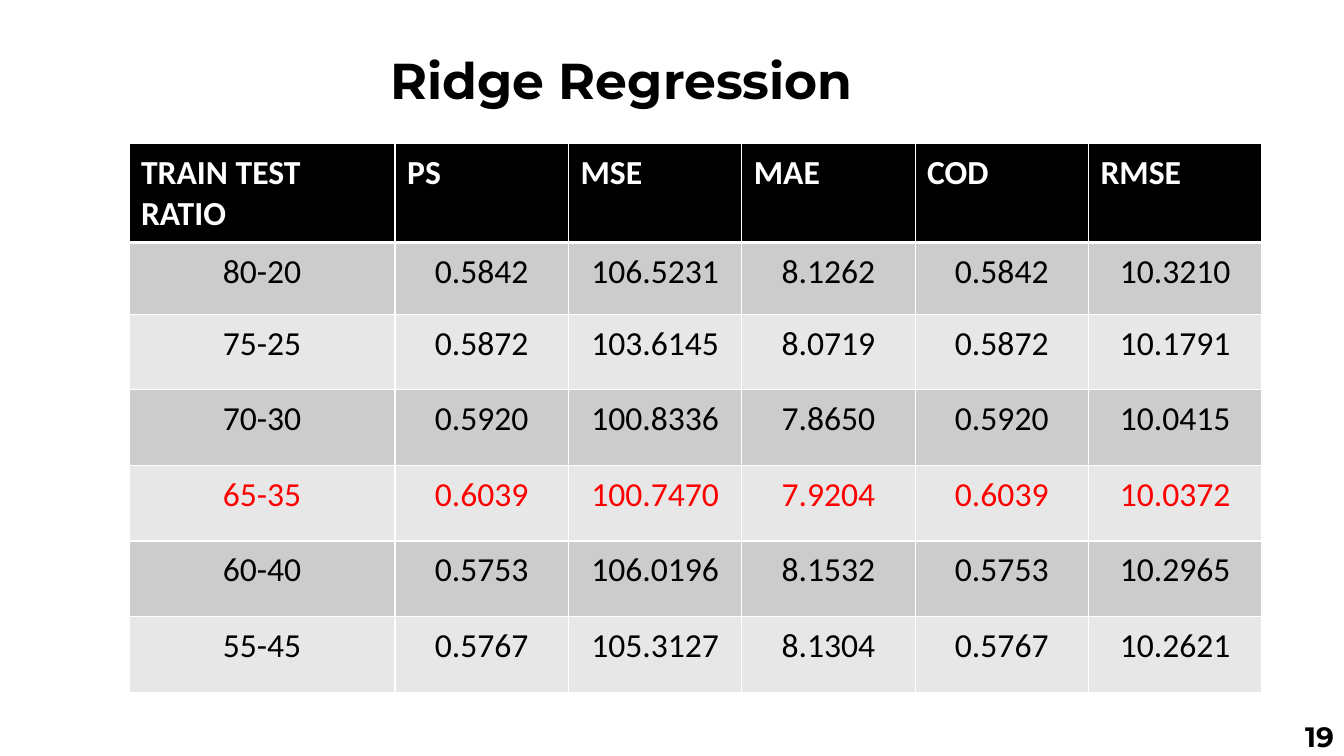
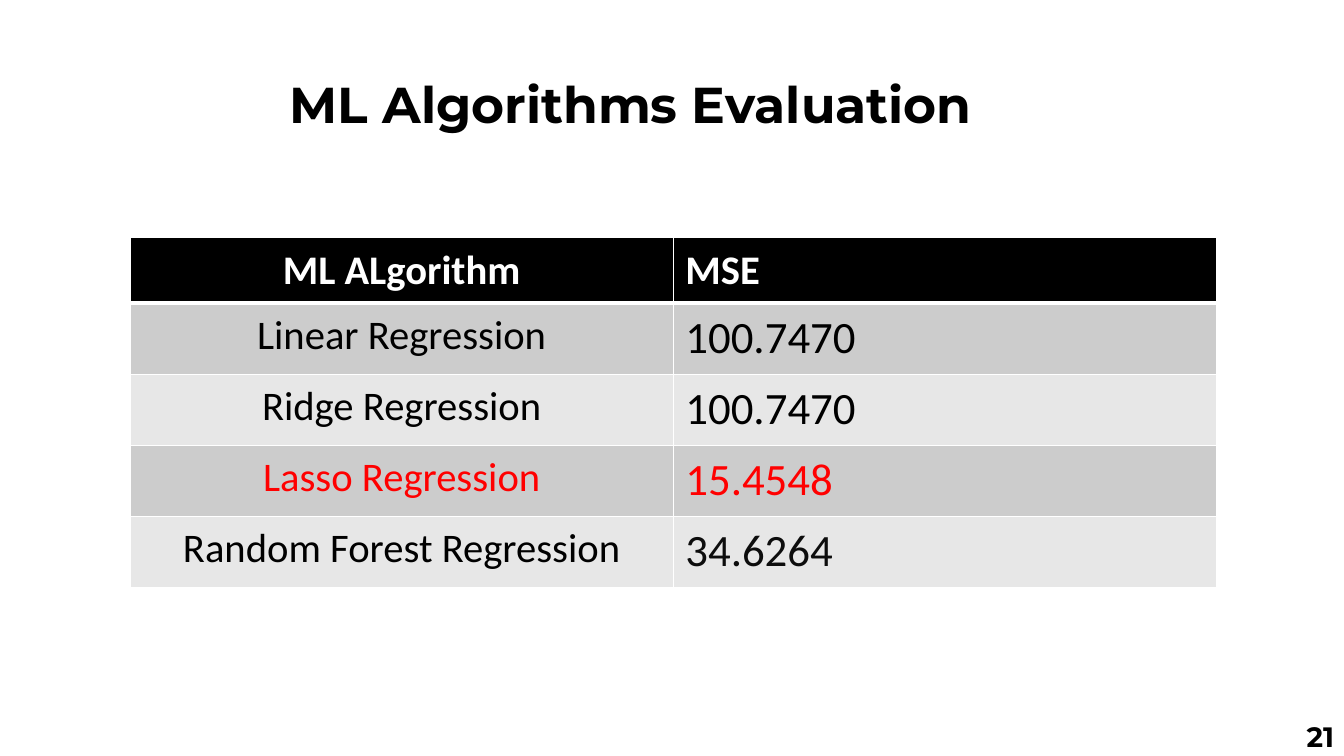
from lxml import etree
from pptx import Presentation
from pptx.dml.color import RGBColor
from pptx.enum.text import MSO_ANCHOR, PP_ALIGN
from pptx.oxml.ns import qn
from pptx.util import Inches, Pt

LEFT, CENTER, RIGHT = PP_ALIGN.LEFT, PP_ALIGN.CENTER, PP_ALIGN.RIGHT
MIDDLE = MSO_ANCHOR.MIDDLE
TITLE_ONLY = 5

COLORS = {
    "black": "000000",
    "white": "FFFFFF",
    "red": "FF0000",
    "ink": "0D0D0D",
    "dark band": "CCCCCC",
    "light band": "E7E7E7",
}
HEADING_FONT, TABLE_FONT = "Montserrat", "Calibri"
THIN, THICK = Pt(1), Pt(3)

presentation = Presentation()
presentation.slide_width, presentation.slide_height = Inches(13.33), Inches(7.5)
# The grid has 100 columns and 100 rows
COLUMN = presentation.slide_width / 100
ROW = presentation.slide_height / 100

SLIDES = [
    {
        "title": "Ridge Regression",
        "title_box": (28.3, 4.4, 64.9, 13.3),
        "number": "19",
        "table_corner": (9.6, 19),
        "columns": [19.8] + [12.9] * 5,
        "rows": [12.9, 9.5] + [10] * 5,
        "margin": 0.09,
        "header_size": 24,
        "body_sizes": [24] * 6,
        "header_alignments": [LEFT] * 6,
        "body_alignments": [CENTER] * 6,
        "best_row": 4,
        "tints": {},
        "cells": [
            ["TRAIN TEST RATIO", "PS", "MSE", "MAE", "COD", "RMSE"],
            ["80-20", "0.5842", "106.5231", "8.1262", "0.5842", "10.3210"],
            ["75-25", "0.5872", "103.6145", "8.0719", "0.5872", "10.1791"],
            ["70-30", "0.5920", "100.8336", "7.8650", "0.5920", "10.0415"],
            ["65-35", "0.6039", "100.7470", "7.9204", "0.6039", "10.0372"],
            ["60-40", "0.5753", "106.0196", "8.1532", "0.5753", "10.2965"],
            ["55-45", "0.5767", "105.3127", "8.1304", "0.5767", "10.2621"],
        ],
    },
    {
        "title": "ML Algorithms Evaluation",
        "title_box": (20.8, 7.5, 66.2, 13.3),
        "number": "21",
        "table_corner": (9.7, 31.4),
        "columns": [40.4] * 2,
        "rows": [8.7] + [9.4] * 4,
        "margin": 0.08,
        "header_size": 29,
        "body_sizes": [29, 32],
        "header_alignments": [CENTER, LEFT],
        "body_alignments": [CENTER, LEFT],
        "best_row": 3,
        "tints": {(4, 1): "ink"},
        "cells": [
            ["ML ALgorithm", "MSE"],
            ["Linear Regression", "100.7470"],
            ["Ridge Regression", "100.7470"],
            ["Lasso Regression", "15.4548"],
            ["Random Forest Regression", "34.6264"],
        ],
    },
]


def set_text(frame, text, font_name, size, color, bold, alignment):
    frame.text = text
    frame.word_wrap = True
    paragraph = frame.paragraphs[0]
    paragraph.alignment = alignment
    paragraph.font.name = font_name
    paragraph.font.size = Pt(size)
    paragraph.font.bold = bold
    paragraph.font.color.rgb = RGBColor.from_string(COLORS[color])
    return paragraph


def set_borders(cell, top, bottom):
    """Draw white borders; call before filling, as the schema puts lines first."""
    properties = cell._tc.get_or_add_tcPr()
    for side, width in (("L", THIN), ("R", THIN), ("T", top), ("B", bottom)):
        line = etree.SubElement(properties, qn(f"a:ln{side}"), w=str(width))
        fill = etree.SubElement(line, qn("a:solidFill"))
        etree.SubElement(fill, qn("a:srgbClr"), val=COLORS["white"])


for content in SLIDES:
    slide = presentation.slides.add_slide(presentation.slide_layouts[TITLE_ONLY])

    title = slide.shapes.title
    left, top, width, height = content["title_box"]
    title.left, title.width = int(left * COLUMN), int(width * COLUMN)
    title.top, title.height = int(top * ROW), int(height * ROW)
    title.text_frame.vertical_anchor = MIDDLE
    heading = set_text(title.text_frame, content["title"], HEADING_FONT, 36, "black", True, LEFT)
    heading.line_spacing = 0.9

    number = slide.shapes.add_textbox(
        int(77.5 * COLUMN), int(94.7 * ROW), int(22.5 * COLUMN), int(5.3 * ROW))
    number.text_frame.vertical_anchor = MIDDLE
    set_text(number.text_frame, content["number"], HEADING_FONT, 20, "black", True, RIGHT)

    cells, columns, rows = content["cells"], content["columns"], content["rows"]
    left, top = content["table_corner"]
    table = slide.shapes.add_table(
        len(rows), len(columns), int(left * COLUMN), int(top * ROW),
        int(sum(columns) * COLUMN), int(sum(rows) * ROW)).table
    for table_column, width in zip(table.columns, columns):
        table_column.width = int(width * COLUMN)

    for row_index, (table_row, height) in enumerate(zip(table.rows, rows)):
        table_row.height = int(height * ROW)
        is_header = row_index == 0
        if is_header:
            band, row_color = "black", "white"
        else:
            band = "dark band" if row_index % 2 else "light band"
            row_color = "red" if row_index == content["best_row"] else "black"
        alignments = content["header_alignments" if is_header else "body_alignments"]

        for column_index, text in enumerate(cells[row_index]):
            cell = table.cell(row_index, column_index)
            cell.margin_left = cell.margin_right = Inches(0.12)
            cell.margin_top = cell.margin_bottom = Inches(content["margin"])
            set_borders(cell, THICK if row_index == 1 else THIN, THICK if is_header else THIN)
            cell.fill.solid()
            cell.fill.fore_color.rgb = RGBColor.from_string(COLORS[band])
            size = content["header_size"] if is_header else content["body_sizes"][column_index]
            color = content["tints"].get((row_index, column_index), row_color)
            set_text(cell.text_frame, text, TABLE_FONT, size, color, is_header,
                     alignments[column_index])

presentation.save("out.pptx")
